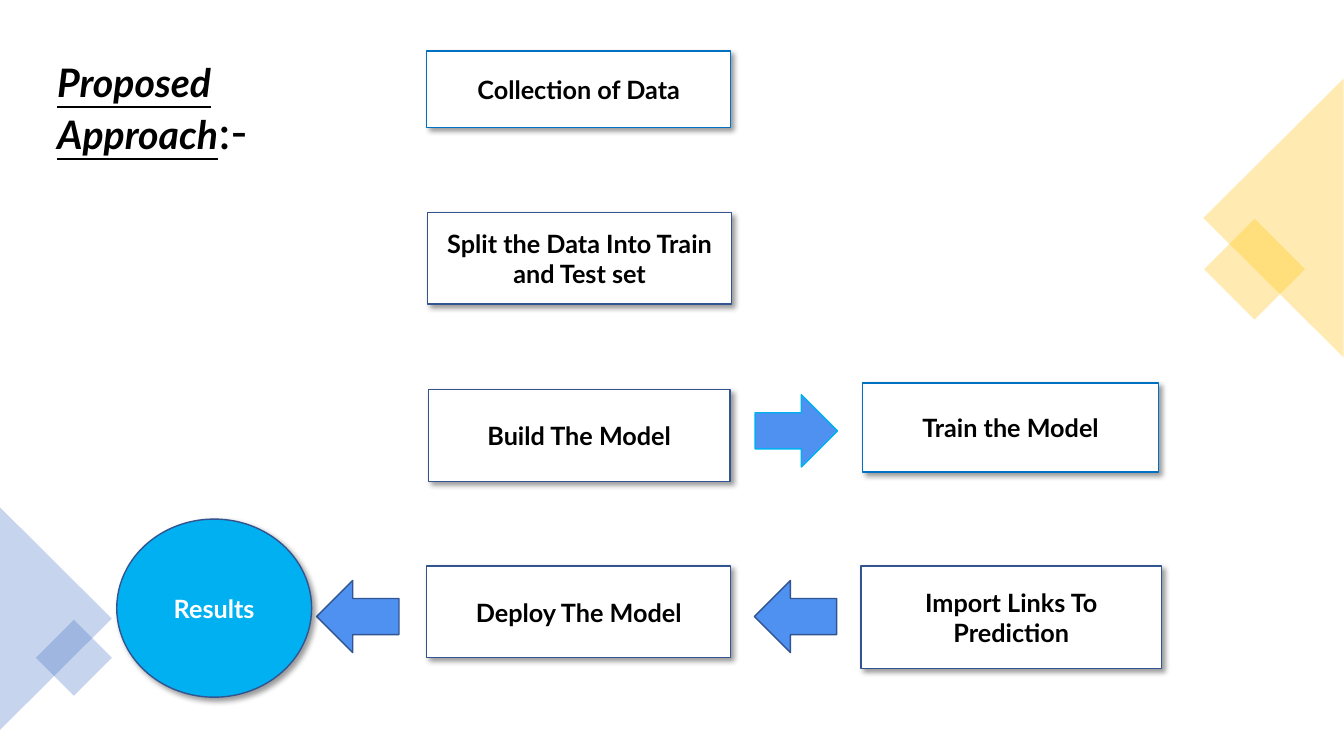
from pptx import Presentation
from pptx.dml.color import RGBColor
from pptx.enum.shapes import MSO_SHAPE
from pptx.enum.text import MSO_ANCHOR, PP_ALIGN
from pptx.oxml import parse_xml
from pptx.oxml.ns import nsdecls, qn
from pptx.util import Inches, Pt
from lxml import etree

RECT, OVAL, PEAK = MSO_SHAPE.RECTANGLE, MSO_SHAPE.OVAL, MSO_SHAPE.ISOSCELES_TRIANGLE
RIGHT, LEFT = MSO_SHAPE.RIGHT_ARROW, MSO_SHAPE.LEFT_ARROW
MIDDLE, CENTER = MSO_ANCHOR.MIDDLE, PP_ALIGN.CENTER

BLACK = RGBColor(0x00, 0x00, 0x00)
WHITE = RGBColor(0xFF, 0xFF, 0xFF)
GOLD = RGBColor(0xFF, 0xC0, 0x00)
BLUE = RGBColor(0x44, 0x72, 0xC4)
NAVY = RGBColor(0x32, 0x54, 0x91)
OCEAN = RGBColor(0x00, 0x70, 0xC0)
SKY = RGBColor(0x00, 0xB0, 0xF0)
AZURE = RGBColor(0x4E, 0x91, 0xF0)

COLS, ROWS = 160, 90
SHADOW = (
    f'<a:effectLst {nsdecls("a")}>'
    '<a:outerShdw blurRad="50800" dist="38100" dir="2700000" algn="tl" rotWithShape="0">'
    '<a:srgbClr val="000000"><a:alpha val="40000"/></a:srgbClr>'
    '</a:outerShdw></a:effectLst>'
)


class Board:
    font = "Lato"
    size = 18

    def __init__(self, deck):
        self.slide = deck.slides.add_slide(deck.slide_layouts[5])
        self.col = deck.slide_width / COLS
        self.row = deck.slide_height / ROWS
        fill = self.slide.background.fill
        fill.solid()
        fill.fore_color.rgb = WHITE

    def place(self, x, y, w, h):
        return [int(n) for n in (x * self.col, y * self.row, w * self.col, h * self.row)]

    def style(self, run, size, color, font=font, bold=True):
        run.font.name = font
        run.font.size = Pt(size)
        run.font.bold = bold
        run.font.color.rgb = color

    def title(self, text, tail, *area):
        head = self.slide.shapes.title
        head.left, head.top, head.width, head.height = self.place(*area)
        frame = head.text_frame
        frame.word_wrap = True
        frame.vertical_anchor = MIDDLE
        line = frame.paragraphs[0]
        line.alignment = PP_ALIGN.LEFT
        line.line_spacing = 0.9
        main, end = line.add_run(), line.add_run()
        main.text, end.text = text, tail
        self.style(main, 28, BLACK)
        main.font.italic = main.font.underline = True
        self.style(end, 36, BLACK, "Calibri", False)

    def shape(self, kind, area, fill, edge=None):
        item = self.slide.shapes.add_shape(kind, *self.place(*area))
        item.shadow.inherit = False
        item.fill.solid()
        item.fill.fore_color.rgb = fill
        if edge is None:
            item.line.fill.background()
        else:
            item.line.color.rgb = edge
            item.line.width = Pt(1)
        return item

    def decor(self, kind, area, fill, turn):
        item = self.shape(kind, area, fill)
        item.rotation = turn
        tint = item.fill._xPr.find(qn("a:solidFill"))[0]
        etree.SubElement(tint, qn("a:alpha")).set("val", "30000")

    def step(self, text, area, edge=NAVY, kind=RECT, fill=WHITE, ink=BLACK):
        item = self.shape(kind, area, fill, edge)
        props = item.element.spPr
        props.replace(props.find(qn("a:effectLst")), parse_xml(SHADOW))
        frame = item.text_frame
        frame.text = text
        frame.word_wrap = True
        frame.vertical_anchor = MIDDLE
        line = frame.paragraphs[0]
        line.alignment = CENTER
        self.style(line.runs[0], self.size, ink)

    def arrow(self, kind, x, y, edge=NAVY):
        self.shape(kind, (x, y, 9.8, 8.6), AZURE, edge)


def main():
    deck = Presentation()
    deck.slide_width, deck.slide_height = Inches(13.33), Inches(7.5)
    board = Board(deck)
    board.title("Proposed Approach", ":-", 5.6, 6.1, 33.5, 14.4)

    board.decor(RECT, (145.1, 27.8, 8.5, 8.5), GOLD, 45)
    board.decor(PEAK, (135, 17.6, 33.2, 16.7), GOLD, 270)
    board.decor(PEAK, (-6.6, 67, 26.5, 13.3), BLUE, 90)
    board.decor(RECT, (5.6, 75.1, 6.4, 6.4), BLUE, 45)

    board.step("Collection of Data", (50.8, 6.1, 36.2, 9.1), OCEAN)
    board.step("Split the Data Into Train and Test set", (50.9, 25.3, 36.2, 10.9))
    board.step("Build The Model", (51, 46.4, 35.9, 10.9))
    board.arrow(RIGHT, 89.9, 47, SKY)
    board.step("Train the Model", (102.7, 45.6, 35.2, 10.6), OCEAN)
    board.step("Import Links To Prediction", (102.5, 67.4, 35.8, 12.2))
    board.arrow(LEFT, 89.8, 69.1)
    board.step("Deploy The Model", (50.8, 67.4, 36.2, 10.9))
    board.arrow(LEFT, 37.7, 69.1)
    board.step("Results", (13.9, 61.8, 23.2, 21.2), kind=OVAL, fill=SKY, ink=WHITE)

    deck.save("out.pptx")


if __name__ == "__main__":
    main()
